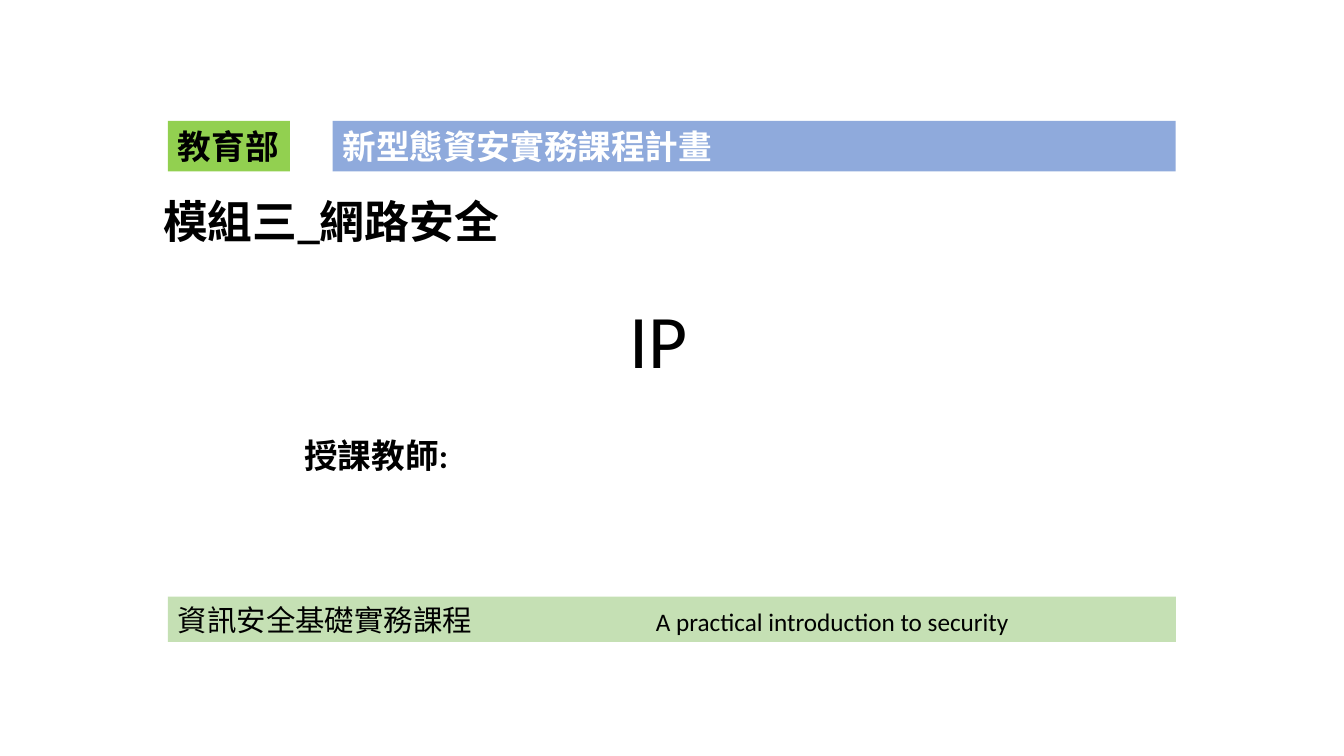
"""Build the opening slide of the IP unit in the network security module."""
from dataclasses import dataclass
from typing import Optional

from lxml.etree import SubElement
from pptx import Presentation
from pptx.dml.color import RGBColor
from pptx.enum.shapes import MSO_SHAPE as SHAPE
from pptx.enum.text import MSO_ANCHOR as ANCHOR, MSO_AUTO_SIZE as AUTO, PP_ALIGN as ALIGN
from pptx.oxml.ns import qn
from pptx.shapes.autoshape import Shape
from pptx.slide import Slide
from pptx.util import Pt

BLACK = RGBColor(0x00, 0x00, 0x00)
WHITE = RGBColor(0xFF, 0xFF, 0xFF)
BLUE = RGBColor(0x8F, 0xAA, 0xDC)
LIME = RGBColor(0x92, 0xD0, 0x50)
SAGE = RGBColor(0xC5, 0xE0, 0xB4)


@dataclass(frozen=True)
class Run:
    text: str
    size: float
    font: str = "Calibri"
    bold: bool = False
    color: RGBColor = BLACK


@dataclass(frozen=True)
class Bar:
    left: float
    top: float
    width: float
    height: float
    fill: RGBColor
    runs: tuple[Run, ...]
    wrap: bool = True
    tab: Optional[float] = None


BARS = (
    Bar(237.6, 86.4, 602.2, 36, BLUE,
        (Run("新型態資安實務課程計畫", 24, bold=True, color=WHITE),)),
    Bar(120, 86.4, 87.1, 36, LIME, (Run("教育部", 24, bold=True),), wrap=False),
    Bar(120, 426.2, 720, 32.4, SAGE,
        (Run("資訊安全基礎實務課程", 21, font="Noto Sans CJK SC"),
         Run("\tA practical introduction to security", 18)), tab=341.5),
)


def place(sp: Shape, left: float, top: float, width: float, height: float) -> None:
    sp.left, sp.top, sp.width, sp.height = Pt(left), Pt(top), Pt(width), Pt(height)


def write(sp: Shape, *runs: Run, align: ALIGN = ALIGN.LEFT, anchor: ANCHOR = ANCHOR.TOP,
          spacing: float = 1.0, wrap: bool = True, tab: Optional[float] = None) -> None:
    tf = sp.text_frame
    tf.word_wrap, tf.vertical_anchor, tf.auto_size = wrap, anchor, AUTO.NONE
    p = tf.paragraphs[0]
    p.alignment, p.line_spacing, p.space_before = align, spacing, Pt(0)
    if tab is not None:
        tabs = SubElement(p._p.get_or_add_pPr(), qn("a:tabLst"))
        SubElement(tabs, qn("a:tab"), pos=str(Pt(tab)), algn="l")
    for run in runs:
        r = p.add_run()
        r.text = run.text
        r.font.size, r.font.name, r.font.bold = Pt(run.size), run.font, run.bold
        r.font.color.rgb = run.color


def add_bar(s: Slide, bar: Bar) -> None:
    sp = s.shapes.add_shape(SHAPE.RECTANGLE, Pt(bar.left), Pt(bar.top),
                            Pt(bar.width), Pt(bar.height))
    sp.shadow.inherit = False
    sp.fill.solid()
    sp.fill.fore_color.rgb = bar.fill
    sp.line.fill.background()
    write(sp, *bar.runs, wrap=bar.wrap, tab=bar.tab)


def main() -> None:
    prs = Presentation()
    prs.slide_width, prs.slide_height = Pt(960), Pt(540)
    s = prs.slides.add_slide(prs.slide_layouts[0])

    title, teacher = s.shapes.title, s.placeholders[1]
    place(title, 244.1, 227.5, 452.2, 51.1)
    write(title, Run("IP", 54), align=ALIGN.CENTER, anchor=ANCHOR.BOTTOM, spacing=0.9)
    place(teacher, 210.2, 310.3, 540, 67.7)
    write(teacher, Run("授課教師:", 24, bold=True), spacing=0.9)

    for bar in BARS:
        add_bar(s, bar)

    module = s.shapes.add_textbox(Pt(109.4), Pt(134.6), Pt(257), Pt(46.1))
    write(module, Run("模組三_網路安全", 32, bold=True))
    prs.save("out.pptx")


if __name__ == "__main__":
    main()
